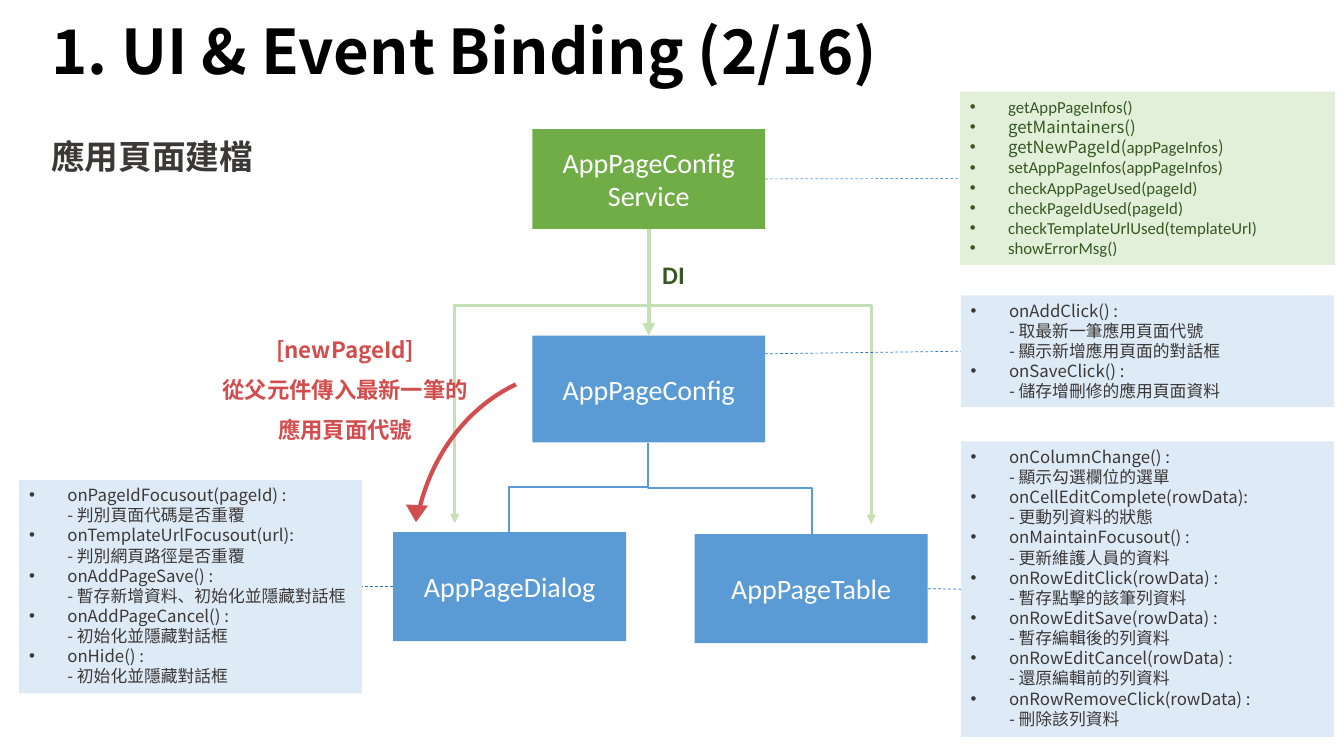
from lxml import etree
from pptx import Presentation
from pptx.dml.color import RGBColor
from pptx.enum.dml import MSO_LINE
from pptx.enum.shapes import MSO_CONNECTOR, MSO_SHAPE
from pptx.enum.text import MSO_ANCHOR, PP_ALIGN
from pptx.oxml.ns import qn
from pptx.util import Inches, Pt

NOTO, CALIBRI = "Noto Sans CJK SC", "Calibri"
WHITE, BLACK, GRAY, RED = "FFFFFF", "000000", "3B3838", "D24E4E"
GREEN, DARK_GREEN, LINE_GREEN, PALE_GREEN = "70AD47", "385723", "C5E0B4", "E2F0D9"
BLUE, DARK_BLUE, PALE_BLUE = "5B9BD5", "2E75B6", "DEEBF7"
TOP, LEFT, BOTTOM, RIGHT = range(4)
NODE_W, CENTER = 2.31, 6.43

SERVICE_METHODS = [
    "getAppPageInfos()",
    [("getMaintainers()", NOTO)],
    [("getNewPageId(", NOTO), ("appPageInfos", CALIBRI), (")", NOTO)],
    "setAppPageInfos(appPageInfos)",
    "checkAppPageUsed(pageId)",
    "checkPageIdUsed(pageId)",
    "checkTemplateUrlUsed(templateUrl)",
    "showErrorMsg()",
]
CONFIG_EVENTS = [
    "onAddClick() :\n- 取最新一筆應用頁面代號\n- 顯示新增應用頁面的對話框",
    "onSaveClick() :\n- 儲存增刪修的應用頁面資料",
]
DIALOG_EVENTS = [
    "onPageIdFocusout(pageId) :\n- 判別頁面代碼是否重覆",
    "onTemplateUrlFocusout(url):\n- 判別網頁路徑是否重覆",
    "onAddPageSave() :\n- 暫存新增資料、初始化並隱藏對話框",
    "onAddPageCancel() :\n- 初始化並隱藏對話框",
    "onHide() :\n- 初始化並隱藏對話框",
]
TABLE_EVENTS = [
    "onColumnChange() :\n- 顯示勾選欄位的選單",
    "onCellEditComplete(rowData):\n- 更動列資料的狀態",
    "onMaintainFocusout() :\n- 更新維護人員的資料",
    "onRowEditClick(rowData) :\n- 暫存點擊的該筆列資料",
    "onRowEditSave(rowData) :\n- 暫存編輯後的列資料",
    "onRowEditCancel(rowData) :\n- 還原編輯前的列資料",
    "onRowRemoveClick(rowData) :\n- 刪除該列資料",
]


def rgb(color):
    return RGBColor.from_string(color)


def sub(parent, tag, **attrs):
    return etree.SubElement(parent, qn(tag), attrs)


def add_run(p, text, size, font, color, bold):
    r = p.add_run()
    r.text = text
    r.font.size, r.font.bold, r.font.name = Pt(size), bold, font
    r.font.color.rgb = rgb(color)
    sub(r.font._element, "a:ea", typeface=NOTO)


def write(s, paragraphs, size=12, font=NOTO, color=GRAY, bold=False, align=PP_ALIGN.LEFT,
          anchor=MSO_ANCHOR.TOP, spacing=None, bullets=False, wrap=True):
    """Fill a shape; a paragraph is a string or a list of (text, font) pairs."""
    tf = s.text_frame
    tf.word_wrap, tf.vertical_anchor = wrap, anchor
    for i, content in enumerate(paragraphs):
        p = tf.paragraphs[0] if i == 0 else tf.add_paragraph()
        p.alignment = align
        if spacing:
            p.line_spacing = spacing
        if bullets:
            pPr = p._p.get_or_add_pPr()
            pPr.set("marL", str(Inches(0.38)))
            pPr.set("indent", str(-Inches(0.38)))
            sub(pPr, "a:buFont", typeface="Arial")
            sub(pPr, "a:buChar", char="•")
        pieces = [(content, font)] if isinstance(content, str) else content
        for text, face in pieces:
            for n, line in enumerate(text.split("\n")):
                if n:
                    p.add_line_break()
                add_run(p, line, size, face, color, bold)


def add_label(slide, box, paragraphs, **fmt):
    s = slide.shapes.add_textbox(*map(Inches, box))
    write(s, paragraphs, **fmt)


def add_filled(slide, box, fill, kind=MSO_SHAPE.RECTANGLE):
    s = slide.shapes.add_shape(kind, *map(Inches, box))
    s.shadow.inherit = False
    s.fill.solid()
    s.fill.fore_color.rgb = rgb(fill)
    s.line.fill.background()
    return s


def add_node(slide, x, y, h, name, fill=BLUE):
    s = add_filled(slide, (x, y, NODE_W, h), fill)
    write(s, [name], size=20, font=CALIBRI, color=WHITE,
          align=PP_ALIGN.CENTER, anchor=MSO_ANCHOR.MIDDLE)
    return s


def add_panel(slide, box, items, fill=PALE_BLUE, **fmt):
    s = add_filled(slide, box, fill)
    write(s, items, bullets=True, **fmt)
    return s


def add_line(slide, kind, ends, color, width, dashed=False, arrow=False):
    c = slide.shapes.add_connector(kind, *map(Inches, ends))
    c.line.color.rgb, c.line.width = rgb(color), Pt(width)
    if dashed:
        c.line.dash_style = MSO_LINE.DASH
    if arrow:
        sub(c.line._get_or_add_ln(), "a:tailEnd", type="triangle")
    sub(c._element.spPr, "a:effectLst")
    return c


def join(slide, a, a_side, b, b_side, color=DARK_BLUE, width=0.5, dashed=True, arrow=False):
    c = add_line(slide, MSO_CONNECTOR.STRAIGHT, (0, 0, 1, 1), color, width, dashed, arrow)
    c.begin_connect(a, a_side)
    c.end_connect(b, b_side)


def add_branch(slide, y, to_x, to_y, bend, color, width, arrow=False):
    """Elbow that leaves the centre line downwards and turns at a share of its drop."""
    drop, reach = to_y - y, abs(to_x - CENTER)
    mid_x, mid_y = (CENTER + to_x) / 2, (y + to_y) / 2
    ends = (mid_x - drop / 2, mid_y - reach / 2, mid_x + drop / 2, mid_y + reach / 2)
    c = add_line(slide, MSO_CONNECTOR.ELBOW, ends, color, width, arrow=arrow)
    spPr = c._element.spPr
    to_right = to_x > CENTER
    spPr.xfrm.set("rot", str((270 if to_right else 90) * 60000))
    if to_right:
        spPr.xfrm.set("flipH", "1")
    guides = spPr.find(qn("a:prstGeom")).get_or_add_avLst()
    sub(guides, "a:gd", name="adj1", fmla=f"val {round(bend * 100000)}")


def add_curved_arrow(slide):
    arc = slide.shapes.add_shape(MSO_SHAPE.ARC, *map(Inches, (4.1, 3.67, 3.3, 3.76)))
    arc.shadow.inherit = False
    arc.fill.background()
    arc.line.color.rgb, arc.line.width = rgb(RED), Pt(3)
    for i, degrees in enumerate((197.5, 250)):
        arc.adjustments[i] = degrees * 0.6
    head = add_filled(slide, (4.02, 5.01, 0.22, 0.17), RED, MSO_SHAPE.ISOSCELES_TRIANGLE)
    head.rotation = 183


def main():
    prs = Presentation()
    prs.slide_width, prs.slide_height = Inches(13.33), Inches(7.5)
    slide = prs.slides.add_slide(prs.slide_layouts[6])

    for x, y in ((8.64, 5.2), (4.51, 5.19)):
        add_branch(slide, 2.27, x, y, 0.26, LINE_GREEN, 2.25, arrow=True)
    add_label(slide, (0.41, -0.1, 9.73, 1.28), ["1. UI & Event Binding (2/16)"], size=44,
              color=BLACK, bold=True, anchor=MSO_ANCHOR.MIDDLE, spacing=0.9)
    add_label(slide, (0.41, 1.1, 2.23, 0.77), ["應用頁面建檔"], size=24, font=CALIBRI,
              bold=True, spacing=1.5)

    config = add_node(slide, 5.28, 3.33, 1.06, "AppPageConfig")
    dialog = add_node(slide, 3.9, 5.28, 1.08, "AppPageDialog")
    table = add_node(slide, 6.89, 5.3, 1.08, "AppPageTable")
    for x, y in ((5.05, 5.28), (8.05, 5.3)):
        add_branch(slide, 4.39, x, y, 0.5, BLUE, 1.5)
    add_curved_arrow(slide)
    add_label(slide, (2.09, 3.15, 2.67, 1.31),
              ["[newPageId]", "從父元件傳入最新一筆的", "應用頁面代號"], size=16, color=RED,
              bold=True, align=PP_ALIGN.CENTER, spacing=1.5, wrap=False)

    config_panel = add_panel(slide, (9.53, 2.93, 3.7, 1.11), CONFIG_EVENTS)
    service = add_node(slide, 5.28, 1.28, 0.99, "AppPageConfig\nService", GREEN)
    join(slide, service, BOTTOM, config, TOP, LINE_GREEN, 3, dashed=False, arrow=True)
    add_label(slide, (6.47, 2.52, 0.43, 0.4), ["DI"], size=18, font=CALIBRI,
              color=DARK_GREEN, bold=True, wrap=False)
    service_panel = add_panel(slide, (9.52, 0.91, 3.72, 1.72), SERVICE_METHODS, PALE_GREEN,
                              font=CALIBRI, color=DARK_GREEN)
    join(slide, service, RIGHT, service_panel, LEFT, BLUE)
    link = add_line(slide, MSO_CONNECTOR.STRAIGHT, (7.59, 3.51, 9.53, 3.48), DARK_BLUE, 0.5,
                    dashed=True)
    link.end_connect(config_panel, LEFT)
    dialog_panel = add_panel(slide, (0.19, 4.76, 3.4, 2.12), DIALOG_EVENTS)
    join(slide, dialog, LEFT, dialog_panel, RIGHT)
    table_panel = add_panel(slide, (9.53, 4.38, 3.7, 2.93), TABLE_EVENTS)
    join(slide, table_panel, LEFT, table, RIGHT)
    prs.save("out.pptx")


if __name__ == "__main__":
    main()
